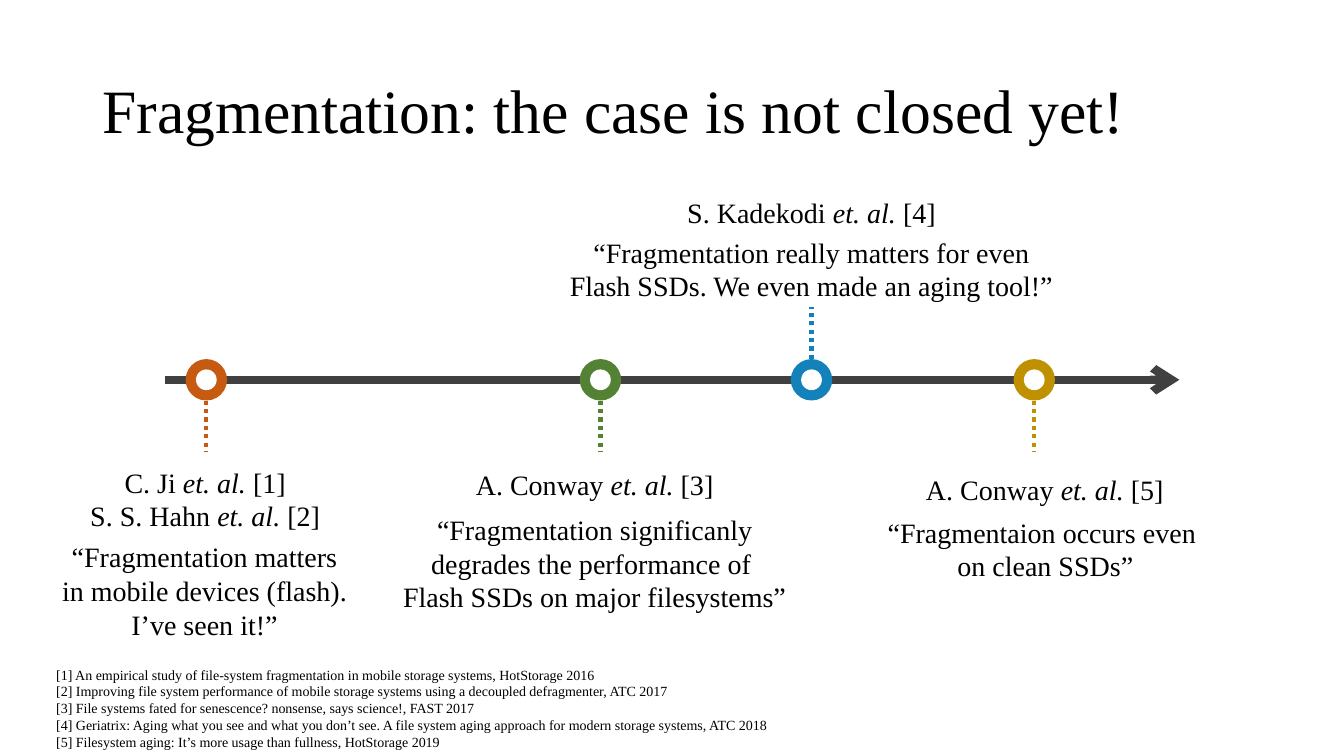
import lxml.etree
import pptx
import pptx.dml.color
import pptx.enum.dml
import pptx.enum.shapes
import pptx.enum.text
import pptx.oxml.ns
import pptx.util

Pt = pptx.util.Pt
qn = pptx.oxml.ns.qn
ALIGN = pptx.enum.text.PP_ALIGN
FONT = "Times New Roman"
COLORS = {
    "text": "000000", "axis": "404040", "hole": "FFFFFF",
    "orange": "C55A10", "green": "548235", "blue": "1382BA", "gold": "BF9000",
}
AXIS_Y = 271.3
RING, HOLE = 29.6, 14.8
STEM = 37

# Each milestone: centre x, colour, stem direction (1 down, -1 up),
# citations with their box, quote paragraphs with their box
MILESTONES = [
    (147.4, "orange", 1,
     [("C. Ji ", "et. al. ", "[1]"), ("S. S. Hahn ", "et. al. ", "[2]")],
     (56.9, 342, 179.3, 28.8),
     ["“Fragmentation matters in mobile devices (flash). ", "I’ve seen it!”"],
     (36, 391, 220.3, 61.2)),
    (428.9, "green", 1,
     [("A. Conway ", "et. al.", " [3]")],
     (321.8, 331.2, 205.9, 28.8),
     ["“Fragmentation significanly degrades the performance of \n"
      "Flash SSDs on major filesystems”"],
     (275.8, 367.9, 298.1, 68.4)),
    (579.7, "blue", -1,
     [("S. Kadekodi ", "et. al.", " [4]")],
     (477.4, 137.5, 204.5, 28.8),
     ["“Fragmentation really matters for even Flash SSDs. "
      "We even made an aging tool!”"],
     (394.6, 157.7, 370.1, 68.4)),
    (738.8, "gold", 1,
     [("A. Conway ", "et. al.", " [5]")],
     (650.2, 334.8, 192.2, 28.8),
     ["“Fragmentaion occurs even \non clean SSDs”"],
     (571, 377.3, 351.4, 39.5 - 10)),
]

REFERENCES = [
    "[1] An empirical study of file-system fragmentation in mobile storage systems, HotStorage 2016",
    "[2] Improving file system performance of mobile storage systems using a decoupled defragmenter, ATC 2017",
    "[3] File systems fated for senescence? nonsense, says science!, FAST 2017",
    "[4] Geriatrix: Aging what you see and what you don’t see. A file system aging approach for modern storage systems, ATC 2018",
    "[5] Filesystem aging: It’s more usage than fullness, HotStorage 2019",
]


def rgb(name):
    return pptx.dml.color.RGBColor.from_string(COLORS[name])


def add_run(paragraph, text, size, italic=False):
    run = paragraph.add_run()
    run.text = text
    run.font.name = FONT
    run.font.size = Pt(size)
    run.font.italic = italic
    run.font.color.rgb = rgb("text")


def add_text(slide, box, paragraphs, size, align=ALIGN.CENTER, spacing=None):
    """Each paragraph is a string or a (plain, italic, plain) tuple."""
    frame = slide.shapes.add_textbox(*map(Pt, box)).text_frame
    frame.word_wrap = True
    frame.vertical_anchor = pptx.enum.text.MSO_ANCHOR.MIDDLE
    for index, content in enumerate(paragraphs):
        paragraph = frame.paragraphs[0] if index == 0 else frame.add_paragraph()
        paragraph.alignment = align
        paragraph.line_spacing = spacing
        if isinstance(content, tuple):
            for part, text in enumerate(content):
                add_run(paragraph, text, size, italic=part == 1)
        else:
            for number, line in enumerate(content.split("\n")):
                if number:
                    paragraph.add_line_break()
                add_run(paragraph, line, size)


def add_line(slide, start, end, color, width):
    line = slide.shapes.add_connector(
        pptx.enum.shapes.MSO_CONNECTOR.STRAIGHT, *map(Pt, (*start, *end)))
    line.line.color.rgb = rgb(color)
    line.line.width = Pt(width)
    lxml.etree.SubElement(line.element.spPr, qn("a:effectLst"))
    return line


def add_disc(slide, x, diameter, color):
    disc = slide.shapes.add_shape(
        pptx.enum.shapes.MSO_SHAPE.OVAL, Pt(x - diameter / 2),
        Pt(AXIS_Y - diameter / 2), Pt(diameter), Pt(diameter))
    disc.shadow.inherit = False
    disc.fill.solid()
    disc.fill.fore_color.rgb = rgb(color)
    disc.line.fill.background()


def add_axis(slide):
    axis = add_line(slide, (118.1, AXIS_Y), (842.4, AXIS_Y), "axis", 6)
    stroke = axis.element.spPr.find(qn("a:ln"))
    lxml.etree.SubElement(stroke, qn("a:tailEnd"), type="arrow")


def add_milestone(slide, x, color, direction, citations, citation_box,
                  quote, quote_box):
    add_disc(slide, x, RING, color)
    add_disc(slide, x, HOLE, "hole")
    stem_y = AXIS_Y + direction * RING / 2
    stem = add_line(slide, (x, stem_y), (x, stem_y + direction * STEM), color, 3)
    # ROUND_DOT is written as the preset dash sysDot
    stem.line.dash_style = pptx.enum.dml.MSO_LINE.ROUND_DOT
    add_text(slide, citation_box, citations, 20)
    add_text(slide, quote_box, quote, 20)


def main():
    deck = pptx.Presentation()
    deck.slide_width, deck.slide_height = Pt(960), Pt(540)
    slide = deck.slides.add_slide(deck.slide_layouts[6])

    # Title
    add_text(slide, (66, 28.8, 828, 104.4),
             ["Fragmentation: the case is not closed yet!"], 44,
             ALIGN.LEFT, 0.9)

    # Timeline
    add_axis(slide)
    for milestone in MILESTONES:
        add_milestone(slide, *milestone)

    # References
    add_text(slide, (33.1, 475.2, 897.1, 61.2), REFERENCES, 10, ALIGN.LEFT)

    deck.save("out.pptx")


if __name__ == "__main__":
    main()
